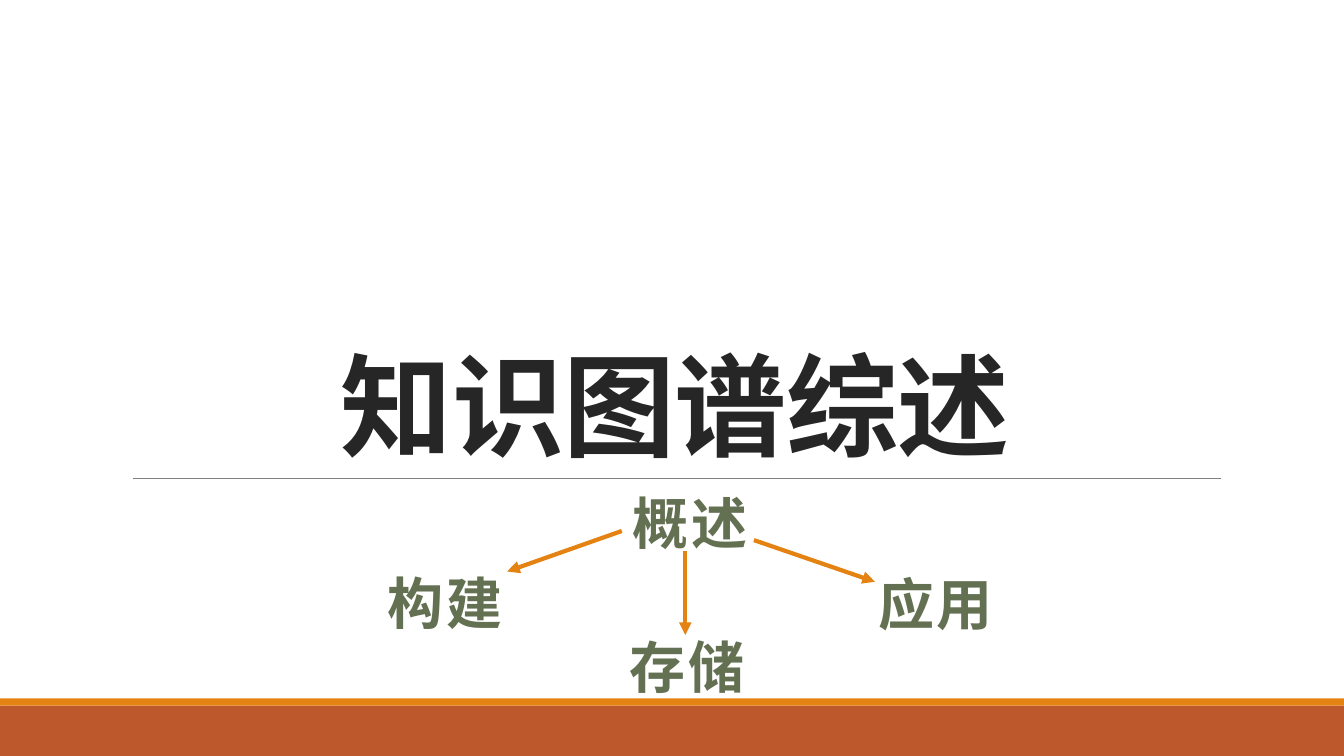
"""Builds the title slide of a survey on knowledge graphs."""
from dataclasses import dataclass

from lxml import etree
from pptx import Presentation
from pptx import util as u
from pptx.dml.color import RGBColor
from pptx.enum import shapes, text
from pptx.oxml.ns import qn


@dataclass(frozen=True)
class Theme:
    """Colours, font and type sizes of the slide."""
    rust: str = "BD582C"
    orange: str = "E48312"
    grey: str = "808080"
    ink: str = "262626"
    green: str = "637052"
    font: str = "Calibri"
    title_size: int = 80
    topic_size: int = 40


THEME = Theme()


def add_band(slide, top, width, height, color):
    """Draw a full-width strip."""
    band = slide.shapes.add_shape(
        shapes.MSO_SHAPE.RECTANGLE, 0, u.Cm(top), width, u.Cm(height))
    band.shadow.inherit = False
    band.fill.solid()
    band.fill.fore_color.rgb = RGBColor.from_string(color)
    band.line.fill.background()


def add_line(slide, start, end, color, weight, arrow=False):
    """Draw a straight line, with an arrowhead at its end if asked."""
    link = slide.shapes.add_connector(
        shapes.MSO_CONNECTOR.STRAIGHT, *map(u.Cm, start + end))
    link.line.color.rgb = RGBColor.from_string(color)
    link.line.width = u.Pt(weight)
    properties = link._element.spPr
    if arrow:
        etree.SubElement(properties.find(qn("a:ln")), qn("a:tailEnd"), type="triangle")
    etree.SubElement(properties, qn("a:effectLst"))


def add_text(slide, wording, left, top, width, height, *, size, color,
             anchor=text.MSO_ANCHOR.TOP, line_spacing=0.9, after=0, tracking=0):
    """Place bold centred text in a wrapping box; tracking is in points."""
    frame = slide.shapes.add_textbox(*map(u.Cm, (left, top, width, height))).text_frame
    frame.word_wrap = True
    frame.vertical_anchor = anchor
    paragraph = frame.paragraphs[0]
    paragraph.alignment = text.PP_ALIGN.CENTER
    paragraph.line_spacing = line_spacing
    paragraph.space_after = u.Pt(after)
    run = paragraph.add_run()
    run.text = wording
    run.font.name = THEME.font
    run.font.size = u.Pt(size)
    run.font.bold = True
    run.font.color.rgb = RGBColor.from_string(color)
    run.font._element.set("spc", str(round(tracking * 100)))


def add_topic(slide, wording, left, top):
    """Place one topic of the outline."""
    add_text(slide, wording, left, top, 5.46, 3.18, size=THEME.topic_size,
             color=THEME.green, after=2, tracking=2)


def main():
    """Build and save the slide."""
    deck = Presentation()
    deck.slide_width, deck.slide_height = u.Cm(33.87), u.Cm(19.05)
    slide = deck.slides.add_slide(deck.slide_layouts[6])

    add_band(slide, 17.78, deck.slide_width, 1.27, THEME.rust)
    add_band(slide, 17.6, deck.slide_width, 0.18, THEME.orange)
    add_line(slide, (3.35, 12.06), (30.78, 12.06), THEME.grey, 0.5)
    add_text(slide, "知识图谱综述", 3.05, 2.11, 27.94, 9.9, size=THEME.title_size,
             color=THEME.ink, anchor=text.MSO_ANCHOR.BOTTOM, line_spacing=0.85,
             tracking=-0.5)

    topics = (("存储", 14.58, 16), ("概述", 14.66, 12.37),
              ("构建", 8.48, 14.4), ("应用", 20.85, 14.43))
    for wording, left, top in topics:
        add_topic(slide, wording, left, top)

    arrows = (((15.67, 13.38), (12.78, 14.4)),
              ((17.27, 13.89), (17.27, 16)),
              ((19, 13.61), (22.05, 14.66)))
    for start, end in arrows:
        add_line(slide, start, end, THEME.orange, 3, arrow=True)

    deck.save("out.pptx")


if __name__ == "__main__":
    main()
